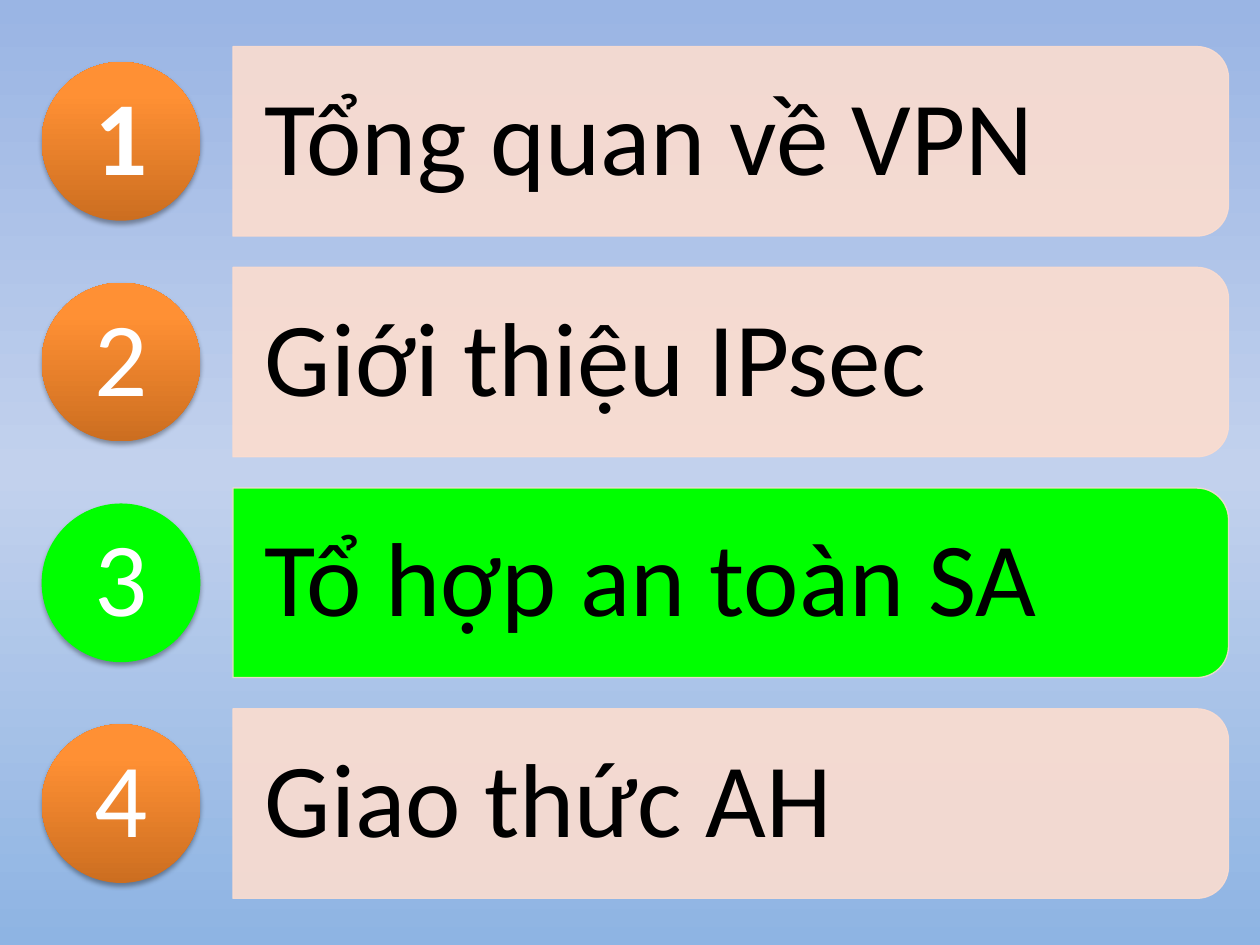
from lxml.etree import SubElement
from pptx import Presentation
from pptx.dml.color import RGBColor
from pptx.enum.shapes import MSO_SHAPE
from pptx.enum.text import MSO_ANCHOR, PP_ALIGN
from pptx.oxml.ns import qn
from pptx.util import Cm, Pt

ITEMS = ["Tổng quan về VPN", "Giới thiệu IPsec", "Tổ hợp an toàn SA", "Giao thức AH"]
CURRENT = 3
FIRST_Y, PITCH = 2.85, 4.45  # row centres, in cm
PEACH, GREEN = "FCDDCF", "00FF00"
BACKGROUND = [(0, "9AB5E4"), (50, "C2D1ED"), (100, "8EB4E3")]
ORANGE = [(0, "CC6E20"), (80, "FF9034"), (100, "FF9136")]


def color(value):
    return RGBColor.from_string(value)


def set_alpha(clr, percent):
    SubElement(clr, qn("a:alpha"), val=str(percent * 1000))


def set_gradient(fill, element, stops, angle):
    """Fill with the stops; the angle runs counter-clockwise."""
    fill.gradient()
    fill.gradient_angle = angle
    gs_lst = element.find(".//" + qn("a:gsLst"))
    for gs in list(gs_lst):
        gs_lst.remove(gs)
    for pos, value in stops:
        gs = SubElement(gs_lst, qn("a:gs"), pos=str(pos * 1000))
        SubElement(gs, qn("a:srgbClr"), val=value)


def add_shadow(sp):
    sp.shadow.inherit = False
    effects = sp._element.spPr.find(qn("a:effectLst"))
    shadow = SubElement(effects, qn("a:outerShdw"), blurRad=str(Pt(3.1)),
                        dist=str(Pt(1.8)), dir="5400000", rotWithShape="0")
    set_alpha(SubElement(shadow, qn("a:srgbClr"), val="000000"), 35)


def add_bar(s, y, current):
    # A tall shape turned a quarter, so its round corners face right
    width, height, center_x = 3.82, 20.07, 14.73
    sp = s.shapes.add_shape(MSO_SHAPE.ROUND_2_SAME_RECTANGLE, Cm(center_x - width / 2),
                            Cm(y - height / 2), Cm(width), Cm(height))
    sp.rotation = 90
    sp.shadow.inherit = False
    sp.fill.solid()
    sp.fill.fore_color.rgb = color(GREEN if current else PEACH)
    sp.line.color.rgb = color(PEACH)
    sp.line.width = Pt(0.75)
    for clr in sp._element.spPr.iter(qn("a:srgbClr")):
        if clr.get("val") == PEACH:
            set_alpha(clr, 90)


def add_circle(s, y, current):
    size = 3.2
    sp = s.shapes.add_shape(MSO_SHAPE.OVAL, Cm(0.84), Cm(y - size / 2), Cm(size), Cm(size))
    if current:
        sp.fill.solid()
        sp.fill.fore_color.rgb = color(GREEN)
    else:
        set_gradient(sp.fill, sp._element.spPr, ORANGE, 90)
    sp.line.fill.background()
    add_shadow(sp)


def add_text(s, text, x, y, width, height, margins, align, value, bold=False):
    sp = s.shapes.add_textbox(Cm(x), Cm(y - height / 2), Cm(width), Cm(height))
    tf = sp.text_frame
    side, top = map(Cm, margins)
    frame = {"word_wrap": True, "vertical_anchor": MSO_ANCHOR.MIDDLE,
             "margin_left": side, "margin_right": side,
             "margin_top": top, "margin_bottom": top}
    for name, setting in frame.items():
        setattr(tf, name, setting)
    p = tf.paragraphs[0]
    p.alignment = align
    p.line_spacing = 0.9
    r = p.add_run()
    r.text = text
    for name, setting in {"name": "Calibri", "size": Pt(60), "bold": bold}.items():
        setattr(r.font, name, setting)
    r.font.color.rgb = color(value)


def main():
    prs = Presentation()
    prs.slide_width, prs.slide_height = Cm(25.4), Cm(19.05)
    s = prs.slides.add_slide(prs.slide_layouts[6])
    set_gradient(s.background.fill, s._element, BACKGROUND, 270)

    # One row per agenda item: bar, title, circle, number
    for number, title in enumerate(ITEMS, 1):
        y = FIRST_Y + (number - 1) * PITCH
        current = number == CURRENT
        add_bar(s, y, current)
        add_text(s, title, 4.7, y, 19.89, 3.43, (0.64, 0.43), PP_ALIGN.LEFT, "000000")
        add_circle(s, y, current)
        add_text(s, str(number), 1.31, y, 2.26, 2.26, (0, 0), PP_ALIGN.CENTER,
                 "FFFFFF", bold=number == 1)

    prs.save("out.pptx")


if __name__ == "__main__":
    main()
